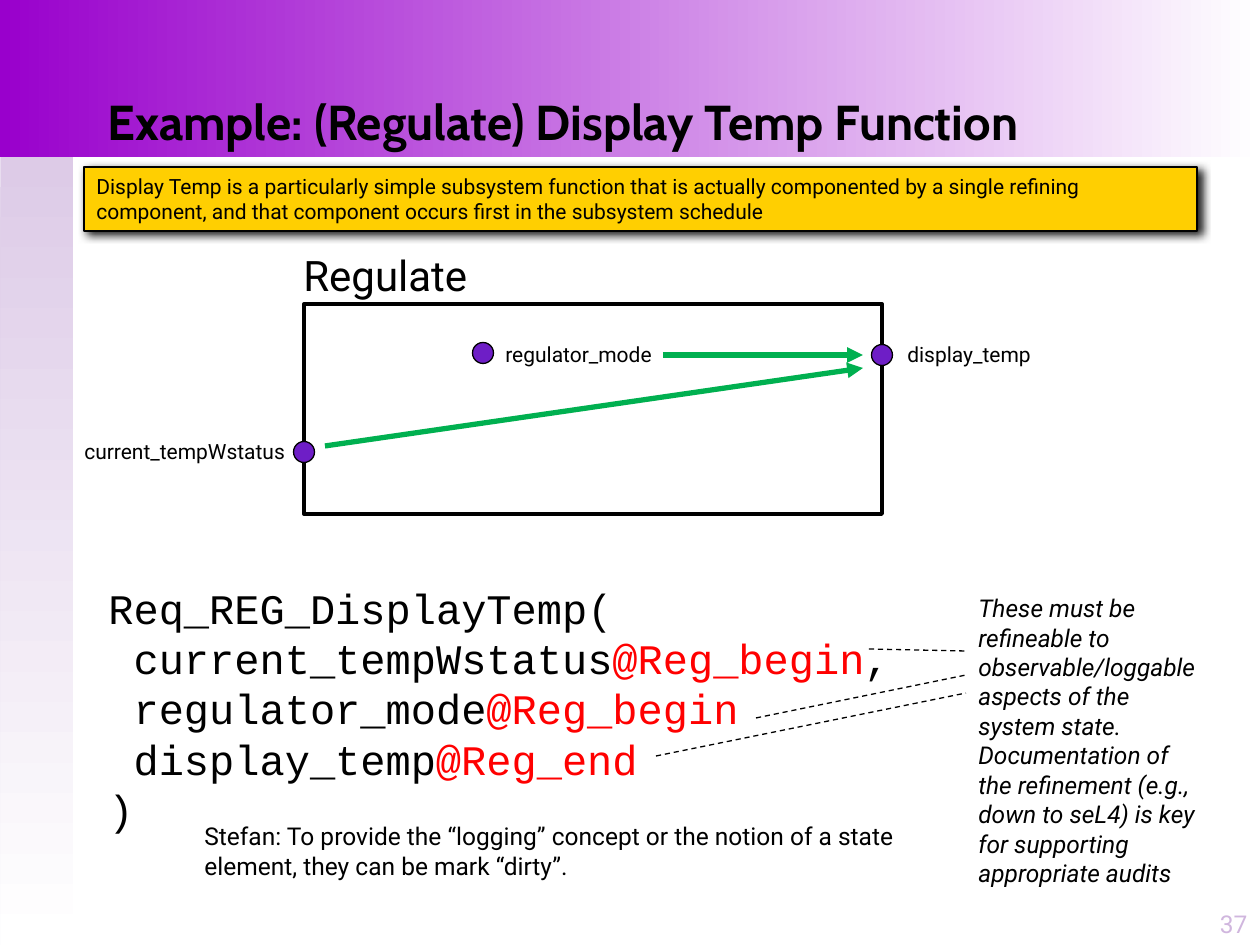
from lxml import etree
from pptx import Presentation
from pptx.dml.color import RGBColor
from pptx.enum.dml import MSO_LINE
from pptx.enum.shapes import MSO_CONNECTOR, MSO_SHAPE
from pptx.enum.text import MSO_ANCHOR, PP_ALIGN
from pptx.oxml.ns import qn
from pptx.util import Emu, Pt

RECT, OVAL = MSO_SHAPE.RECTANGLE, MSO_SHAPE.OVAL
STRAIGHT, DASH = MSO_CONNECTOR.STRAIGHT, MSO_LINE.DASH
TOP, MIDDLE, BOTTOM = MSO_ANCHOR.TOP, MSO_ANCHOR.MIDDLE, MSO_ANCHOR.BOTTOM
LEFT, RIGHT = PP_ALIGN.LEFT, PP_ALIGN.RIGHT

PX = 914400 / 126
SLIDE_W, SLIDE_H = 1260, 945
COLORS = {
    "black": "000000", "white": "FFFFFF", "purple": "9900CC", "lilac": "DDCBE7",
    "number": "D0B6DE", "gold": "FFCF01", "port": "6E1EC6", "flow": "00B050",
    "state": "FF0000", "shadow": "1C1C1C",
}
BODY, HEADING, CODE = "Roboto", "Cabin", "Courier New"

# Content
TITLE = "Example: (Regulate) Display Temp Function"
PAGE_NUMBER = "37"
SUMMARY = ("Display Temp is a particularly simple subsystem function that is actually "
           "componented by a single refining component, and that component occurs "
           "first in the subsystem schedule")
REFINEMENT_NOTE = ("These must be refineable to observable/loggable aspects of the system "
                   "state. Documentation of the refinement (e.g., down to seL4) is key "
                   "for supporting appropriate audits")
LOGGING_NOTE = ("Stefan: To provide the “logging” concept or the notion of a state "
                "element, they can be mark “dirty”.")
REQUIREMENT = [
    [("Req_REG_DisplayTemp(", "black")],
    [(" current_tempWstatus", "black"), ("@Reg_begin", "state"), (",", "black")],
    [(" regulator_mode", "black"), ("@Reg_begin", "state")],
    [(" display_temp", "black"), ("@Reg_end", "state")],
    [(")", "black")],
]
# Label, label box, centre of its port
PORTS = [
    ("display_temp", (895, 335, 149, 38), (882, 355)),
    ("current_tempWstatus", (72, 432, 228, 38), (304, 452)),
    ("regulator_mode", (493, 335, 174, 38), (483, 353)),
]
PORT_SIZE = 21
FLOWS = [((325, 446), (863, 368)), ((663, 355), (863, 355))]
NOTE_LINES = [((869, 649), (966, 651)), ((756, 718), (966, 675)), ((656, 756), (966, 693))]


def emu(*lengths):
    return [Emu(round(length * PX)) for length in lengths]


def rgb(color):
    return RGBColor.from_string(COLORS[color])


def add_box(kind, box, fill=None, line=None, weight=1):
    shape = slide.shapes.add_shape(kind, *emu(*box))
    shape.shadow.inherit = False
    if fill:
        shape.fill.solid()
        shape.fill.fore_color.rgb = rgb(fill)
    else:
        shape.fill.background()
    if line:
        shape.line.color.rgb = rgb(line)
        shape.line.width = Pt(weight)
    else:
        shape.line.fill.background()
    return shape


def add_gradient(box, start, angle, rotation=0):
    band = add_box(RECT, box)
    band.rotation = rotation
    band.fill.gradient()
    band.fill.gradient_angle = 0
    for stop, color, position in zip(band.fill.gradient_stops, (start, "white"), (0, 1)):
        stop.color.rgb = rgb(color)
        stop.position = position
    gradient = band._element.spPr.find(qn("a:gradFill"))
    gradient.set("rotWithShape", "0")
    gradient.find(qn("a:lin")).set("ang", str(angle * 60000))


def write(shape, lines, size, font=BODY, anchor=TOP, align=LEFT, wrap=True,
          bold=False, italic=False):
    frame = shape.text_frame
    frame.word_wrap = wrap
    frame.vertical_anchor = anchor
    for index, line in enumerate(lines):
        paragraph = frame.add_paragraph() if index else frame.paragraphs[0]
        paragraph.alignment = align
        for text, color in line:
            run = paragraph.add_run()
            run.text = text
            run.font.size = Pt(size)
            run.font.name = font
            run.font.bold = bold
            run.font.italic = italic
            run.font.color.rgb = rgb(color)


def add_text(box, text, size, color="black", **style):
    lines = [[(text, color)]] if isinstance(text, str) else text
    write(slide.shapes.add_textbox(*emu(*box)), lines, size, **style)


def add_line(start, end, color, weight, dash=None, arrow=False):
    line = slide.shapes.add_connector(STRAIGHT, *emu(*start, *end))
    line.line.color.rgb = rgb(color)
    line.line.width = Pt(weight)
    if dash:
        line.line.dash_style = dash
    if arrow:
        etree.SubElement(line.line._get_or_add_ln(), qn("a:tailEnd"), type="triangle")
    etree.SubElement(line._element.spPr, qn("a:effectLst"))


def add_shadow(shape, color, blur, distance, angle):
    effects = shape._element.spPr.find(qn("a:effectLst"))
    shadow = etree.SubElement(effects, qn("a:outerShdw"), blurRad=str(Pt(blur)),
                              dist=str(Pt(distance)), dir=str(angle * 60000),
                              algn="ctr", rotWithShape="0")
    etree.SubElement(shadow, qn("a:srgbClr"), val=COLORS[color])


prs = Presentation()
prs.slide_width, prs.slide_height = emu(SLIDE_W, SLIDE_H)
slide = prs.slides.add_slide(prs.slide_layouts[6])

# Side band, header band, title and page number
add_gradient((-357, 514, 788, 73), "lilac", 90, rotation=270)
add_gradient((0, 0, SLIDE_W, 157), "purple", 0)
add_text((95, 0, 1124, 157), TITLE, 28, font=HEADING, anchor=BOTTOM, bold=True)
add_text((1197, 882, 63, 63), PAGE_NUMBER, 14, "number", anchor=BOTTOM, align=RIGHT)

# Summary banner
banner = add_box(RECT, (84, 167, 1113, 64), "gold", "black")
add_shadow(banner, "shadow", 5, 2.8, 45)
write(banner, [[(SUMMARY, "black")]], 12, anchor=MIDDLE)

# Regulate component with its ports and flows
add_box(RECT, (304, 304, 578, 210), line="black", weight=2.25)
add_text((291, 243, 189, 63), "Regulate", 24, wrap=False)
for label, label_box, (x, y) in PORTS:
    add_box(OVAL, (x - PORT_SIZE / 2, y - PORT_SIZE / 2, PORT_SIZE, PORT_SIZE),
            "port", "black", 0.75)
    add_text(label_box, label, 12, wrap=False)
for start, end in FLOWS:
    add_line(start, end, "flow", 3, arrow=True)

# Requirement and the notes on it
add_text((96, 576, 892, 267), REQUIREMENT, 24, font=CODE)
add_text((966, 587, 252, 310), REFINEMENT_NOTE, 14, italic=True)
add_text((192, 815, 737, 72), LOGGING_NOTE, 14)
for start, end in NOTE_LINES:
    add_line(start, end, "black", 0.75, dash=DASH)

prs.save("out.pptx")
